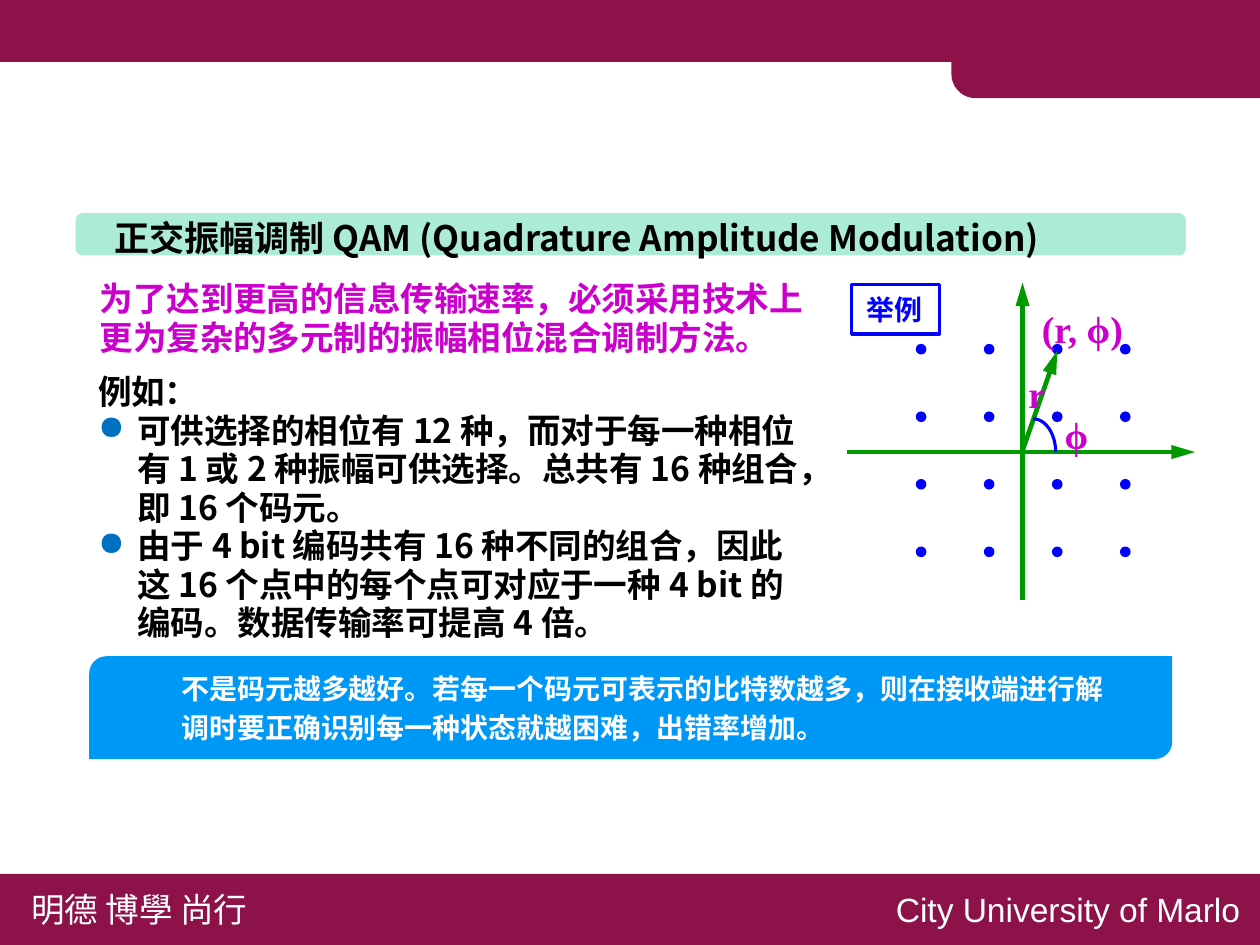
import math

import lxml.etree
import pptx
import pptx.dml.color
import pptx.enum.shapes
import pptx.enum.text
import pptx.oxml.ns
import pptx.util

Inches = pptx.util.Inches
Pt = pptx.util.Pt
RGBColor = pptx.dml.color.RGBColor
SHAPE = pptx.enum.shapes.MSO_SHAPE
ALIGN = pptx.enum.text.PP_ALIGN
qn = pptx.oxml.ns.qn

WINE = RGBColor(0x8D, 0x12, 0x4A)
MINT = RGBColor(0xAB, 0xEB, 0xD7)
SKY = RGBColor(0x00, 0x98, 0xF6)
GREEN = RGBColor(0x00, 0x99, 0x00)
BLUE = RGBColor(0x00, 0x00, 0xFF)
PINK = RGBColor(0xCC, 0x00, 0xCC)
BLACK = RGBColor(0x00, 0x00, 0x00)
WHITE = RGBColor(0xFF, 0xFF, 0xFF)

NOTO = "Noto Sans CJK SC"
ARIAL = "Arial"
TIMES = "Times New Roman"


def draw(kind, place, fill=None, edge=None, width=0.75):
    shape = slide.shapes.add_shape(kind, *map(Inches, place))
    shape.shadow.inherit = False
    if fill is None:
        shape.fill.background()
    else:
        shape.fill.solid()
        shape.fill.fore_color.rgb = fill
    if edge is None:
        shape.line.fill.background()
    else:
        shape.line.color.rgb = edge
        shape.line.width = Pt(width)
    return shape


def write(shape, lines, size, name, color, bold=True, gap=None, align=ALIGN.LEFT):
    """Put one paragraph per line in the shape; a gap is the line pitch and turns wrapping on."""
    frame = shape.text_frame
    frame.word_wrap = gap is not None
    frame.vertical_anchor = pptx.enum.text.MSO_ANCHOR.MIDDLE
    look = {"size": Pt(size), "name": name, "bold": bold}
    for i, line in enumerate(lines):
        para = frame.add_paragraph() if i else frame.paragraphs[0]
        para.alignment = align
        if gap:
            para.line_spacing = Pt(gap)
        run = para.add_run()
        run.text = line
        for key, value in look.items():
            setattr(run.font, key, value)
        run.font.color.rgb = color
        east = lxml.etree.SubElement(run.font._element, qn("a:ea"))
        east.set("typeface", name)
    return frame


deck = pptx.Presentation()
deck.slide_width = Inches(8.33)
deck.slide_height = Inches(6.25)
slide = deck.slides.add_slide(deck.slide_layouts[6])

# Header with its rounded tab, and footer
draw(SHAPE.RECTANGLE, (0, 0, 8.33, 0.41), WINE)
draw(SHAPE.RECTANGLE, (0, 5.78, 8.33, 0.47), WINE)

curve = [math.radians(a) for a in range(90, 181, 10)]
tab = [(6.45 + 0.16 * math.cos(a), 0.49 + 0.16 * math.sin(a)) for a in curve]
tab += [(6.29, 0.02), (8.33, 0.02)]
pen = slide.shapes.build_freeform(Inches(8.33), Inches(0.65), scale=1.0)
pen.add_line_segments([(Inches(x), Inches(y)) for x, y in tab], close=True)
corner = pen.convert_to_shape()
corner.shadow.inherit = False
corner.fill.solid()
corner.fill.fore_color.rgb = WINE
corner.line.fill.background()

# Coloured bands behind the title and the closing remark
draw(SHAPE.ROUNDED_RECTANGLE, (0.5, 1.41, 7.34, 0.28), MINT)
draw(SHAPE.ROUND_2_DIAG_RECTANGLE, (0.59, 4.34, 7.16, 0.68), SKY)

# Constellation
for row in range(4):
    for col in range(4):
        spot = (6.06 + 0.45 * col, 2.28 + 1.34 / 3 * row, 0.06, 0.06)
        draw(SHAPE.OVAL, spot, BLUE, BLUE)

arrows = [(6.76, 3.97, 6.76, 1.87), (5.6, 2.99, 7.9, 2.99), (6.76, 2.98, 6.99, 2.32)]
for ends in arrows:
    arrow = slide.shapes.add_connector(
        pptx.enum.shapes.MSO_CONNECTOR.STRAIGHT, *map(Inches, ends))
    arrow.line.color.rgb = GREEN
    arrow.line.width = Pt(2.25)
    tip = lxml.etree.SubElement(arrow.line._get_or_add_ln(), qn("a:tailEnd"))
    for key, value in {"type": "triangle", "w": "med", "len": "lg"}.items():
        tip.set(key, value)
    lxml.etree.SubElement(arrow._element.spPr, qn("a:effectLst"))

draw(SHAPE.ARC, (6.68, 2.77, 0.3, 0.44), edge=BLUE, width=1.5)
label = draw(SHAPE.RECTANGLE, (5.63, 1.88, 0.58, 0.33), edge=BLUE, width=1.5)
write(label, ["举例"], 13.3, NOTO, BLUE)

# Text: place, lines, size, font, colour, further format
texts = [
    ((0.11, 5.83, 1.68, 0.37), ["明德 博學 尚行"], 16, NOTO, WHITE, {"bold": False}),
    ((5.68, 5.83, 2.62, 0.37), ["City University of Marlo"], 16, ARIAL, WHITE,
     {"bold": False, "align": ALIGN.RIGHT}),
    ((0.49, 1.38, 6.7, 0.38), ["正交振幅调制 QAM (Quadrature Amplitude Modulation) "],
     16.7, NOTO, BLACK, {"align": ALIGN.CENTER}),
    ((0.56, 1.8, 4.95, 0.61),
     ["为了达到更高的信息传输速率，必须采用技术上更为复杂的多元制的振幅相位混合调制方法。"],
     16, NOTO, PINK, {"gap": 18.3}),
    ((1.1, 4.37, 6.35, 0.59),
     ["不是码元越多越好。若每一个码元可表示的比特数越多，则在接收端进行解调时要正确识别"
      "每一种状态就越困难，出错率增加。"], 13.3, NOTO, WHITE, {"gap": 18.3}),
    ((6.7, 2.4, 0.31, 0.4), ["r"], 18, TIMES, PINK, {}),
    ((6.94, 2.67, 0.35, 0.4), ["ϕ"], 18, TIMES, PINK, {}),
    ((6.79, 1.97, 0.74, 0.4), ["(r, ϕ)"], 18, TIMES, PINK, {}),
]
for place, lines, size, name, color, extra in texts:
    box = slide.shapes.add_textbox(*map(Inches, place))
    write(box, lines, size, name, color, **extra)

# Example with its bullets
case = slide.shapes.add_textbox(Inches(0.55), Inches(2.36), Inches(4.94), Inches(1.94))
points = [
    "例如：",
    "可供选择的相位有 12 种，而对于每一种相位有 1 或 2 种振幅可供选择。总共有 16 种组合，"
    "即 16 个码元。",
    "由于 4 bit 编码共有 16 种不同的组合，因此这 16 个点中的每个点可对应于一种 4 bit 的编码。"
    "数据传输率可提高 4 倍。",
]
frame = write(case, points, 16, NOTO, BLACK, gap=18.3)
frame.paragraphs[0].line_spacing = Pt(22.5)
for para in frame.paragraphs[1:]:
    props = para._p.get_or_add_pPr()
    props.set("marL", str(Inches(0.26)))
    props.set("indent", str(-Inches(0.26)))
    tint = lxml.etree.SubElement(props, qn("a:buClr"))
    lxml.etree.SubElement(tint, qn("a:srgbClr")).set("val", "0070C0")
    lxml.etree.SubElement(props, qn("a:buChar")).set("char", "●")

deck.save("out.pptx")
